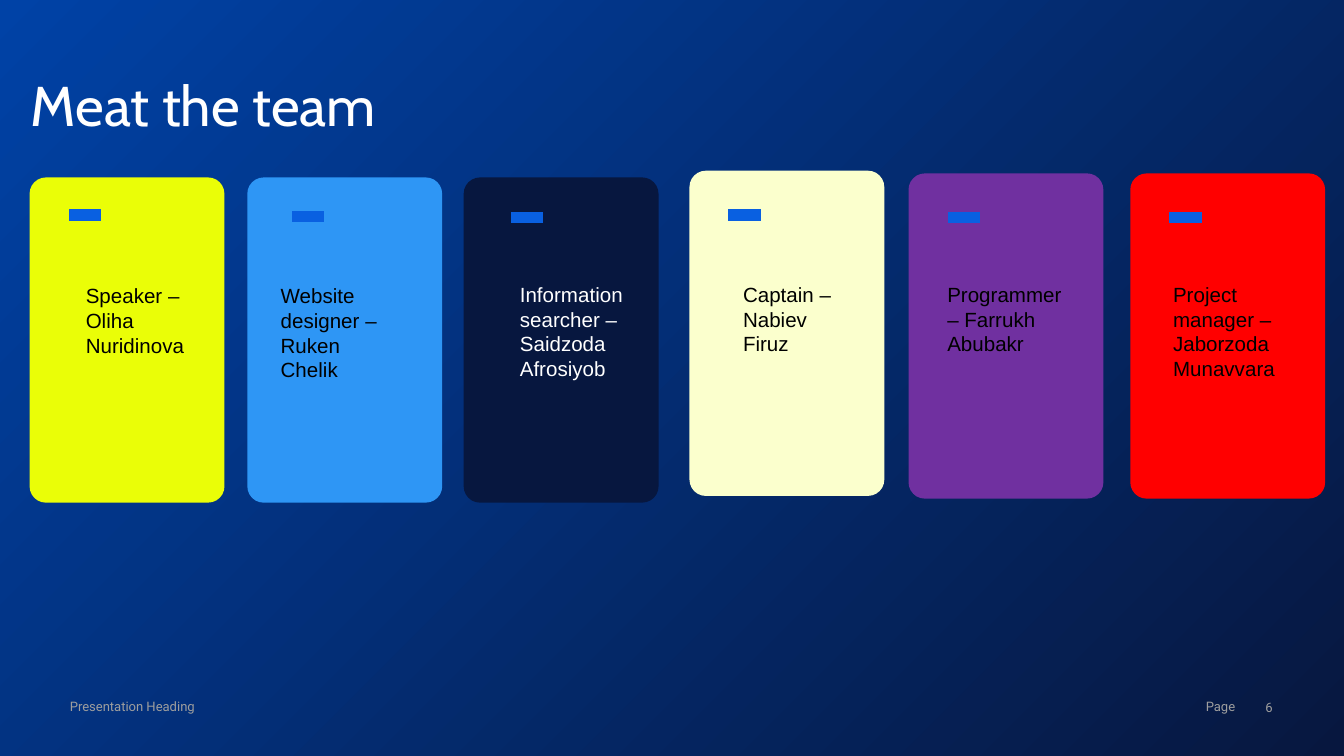
from lxml import etree
from pptx import Presentation
from pptx import util as u
from pptx.dml.color import RGBColor
from pptx.enum import shapes, text
from pptx.oxml.ns import qn

COLOURS = {
    "blue": "0042A6", "navy": "07173F", "accent": "0960E1",
    "white": "FFFFFF", "black": "000000", "grey": "9E9E9E",
    "yellow": "EAFE07", "sky": "2E96F5", "cream": "FBFFCD",
    "purple": "7030A0", "red": "FF0000",
}

CARD_WIDTH, CARD_HEIGHT = 1.45, 2.42
MARK_WIDTH = 0.24

# Card left and top, fill, mark left and top, label box, label colour, label
TEAM = [
    (0.22, 1.32, "yellow", 0.51, 1.6, (0.54, 2.06, 0.96, 0.66), "black",
     "Speaker – Oliha Nuridinova"),
    (1.84, 1.32, "sky", 2.17, 1.61, (1.99, 2.06, 0.96, 0.84), "black",
     "Website designer – Ruken Chelik"),
    (3.45, 1.32, "navy", 3.8, 1.62, (3.77, 2.05, 1.03, 0.84), "white",
     "Information searcher – Saidzoda Afrosiyob"),
    (5.13, 1.27, "cream", 5.42, 1.6, (5.43, 2.05, 0.89, 0.66), "black",
     "Captain – Nabiev Firuz"),
    (6.76, 1.29, "purple", 7.05, 1.62, (6.95, 2.05, 1.07, 0.66), "black",
     "Programmer – Farrukh Abubakr"),
    (8.41, 1.29, "red", 8.7, 1.62, (8.63, 2.05, 0.96, 0.84), "black",
     "Project manager – Jaborzoda Munavvara"),
]


def colour(name):
    return RGBColor.from_string(COLOURS[name])


def write(box, words, font="Arial", size=11, fill="black", inset=None,
          align=text.PP_ALIGN.LEFT, anchor=text.MSO_ANCHOR.TOP, spacing=None):
    """Put one formatted paragraph into a shape."""
    frame = box.text_frame
    frame.word_wrap = True
    frame.auto_size = text.MSO_AUTO_SIZE.NONE
    frame.vertical_anchor = anchor
    if inset is not None:
        frame.margin_left = frame.margin_right = u.Inches(inset)
        frame.margin_top = frame.margin_bottom = u.Inches(inset)
    para = frame.paragraphs[0]
    para.alignment = align
    if spacing:
        para.line_spacing = spacing
    span = para.add_run()
    span.text = words
    span.font.name = font
    span.font.size = u.Pt(size)
    span.font.color.rgb = colour(fill)


class TeamPage:
    """Holds the style and the current slide."""

    footer_style = {"font": "Roboto", "size": 7, "fill": "grey", "inset": 0}

    def __init__(self, deck):
        self.page = deck.slides.add_slide(deck.slide_layouts[5])

    def background(self, start, end):
        fill = self.page.background.fill
        fill.gradient()
        fill.gradient_angle = 315
        for stop, name in zip(fill.gradient_stops, (start, end)):
            stop.color.rgb = colour(name)

    def title(self, words, left, top, width, height):
        box = self.page.shapes.title
        box.left, box.top = u.Inches(left), u.Inches(top)
        box.width, box.height = u.Inches(width), u.Inches(height)
        write(box, words, font="Cabin", size=30, fill="white", inset=0,
              spacing=0.8)

    def card(self, left, top, fill):
        box = self.page.shapes.add_shape(
            shapes.MSO_SHAPE.ROUNDED_RECTANGLE, u.Inches(left), u.Inches(top),
            u.Inches(CARD_WIDTH), u.Inches(CARD_HEIGHT))
        box.adjustments[0] = 0.084
        box.shadow.inherit = False
        box.fill.solid()
        box.fill.fore_color.rgb = colour(fill)
        box.line.fill.background()

    def mark(self, left, top):
        line = self.page.shapes.add_connector(
            shapes.MSO_CONNECTOR.STRAIGHT, u.Inches(left + MARK_WIDTH),
            u.Inches(top), u.Inches(left), u.Inches(top))
        line.line.color.rgb = colour("accent")
        line.line.width = u.Pt(6)
        etree.SubElement(line._element.spPr, qn("a:effectLst"))

    def label(self, words, left, top, width, height, **style):
        box = self.page.shapes.add_textbox(
            u.Inches(left), u.Inches(top), u.Inches(width), u.Inches(height))
        write(box, words, **style)

    def footer(self, words, left, top, width, height, **style):
        self.label(words, left, top, width, height,
                   **self.footer_style, **style)


def main():
    # Slide in 16:9 format
    deck = Presentation()
    deck.slide_width = u.Inches(10)
    deck.slide_height = deck.slide_width * 9 // 16
    page = TeamPage(deck)

    # Background and title
    page.background("blue", "navy")
    page.title("Meat the team", 0.23, 0.62, 7.15, 0.4)

    # Team cards
    for left, top, fill, mark_left, mark_top, area, ink, words in TEAM:
        page.card(left, top, fill)
        page.mark(mark_left, mark_top)
        page.label(words, *area, fill=ink)

    # Footer
    right = text.PP_ALIGN.RIGHT
    page.footer("Presentation Heading", 0.52, 5.2, 2.73, 0.12)
    page.footer("Page", 8.84, 5.2, 0.35, 0.12, align=right)
    page.footer("6", 9.25, 5.2, 0.22, 0.13, align=right,
                anchor=text.MSO_ANCHOR.MIDDLE)

    deck.save("out.pptx")


if __name__ == "__main__":
    main()
